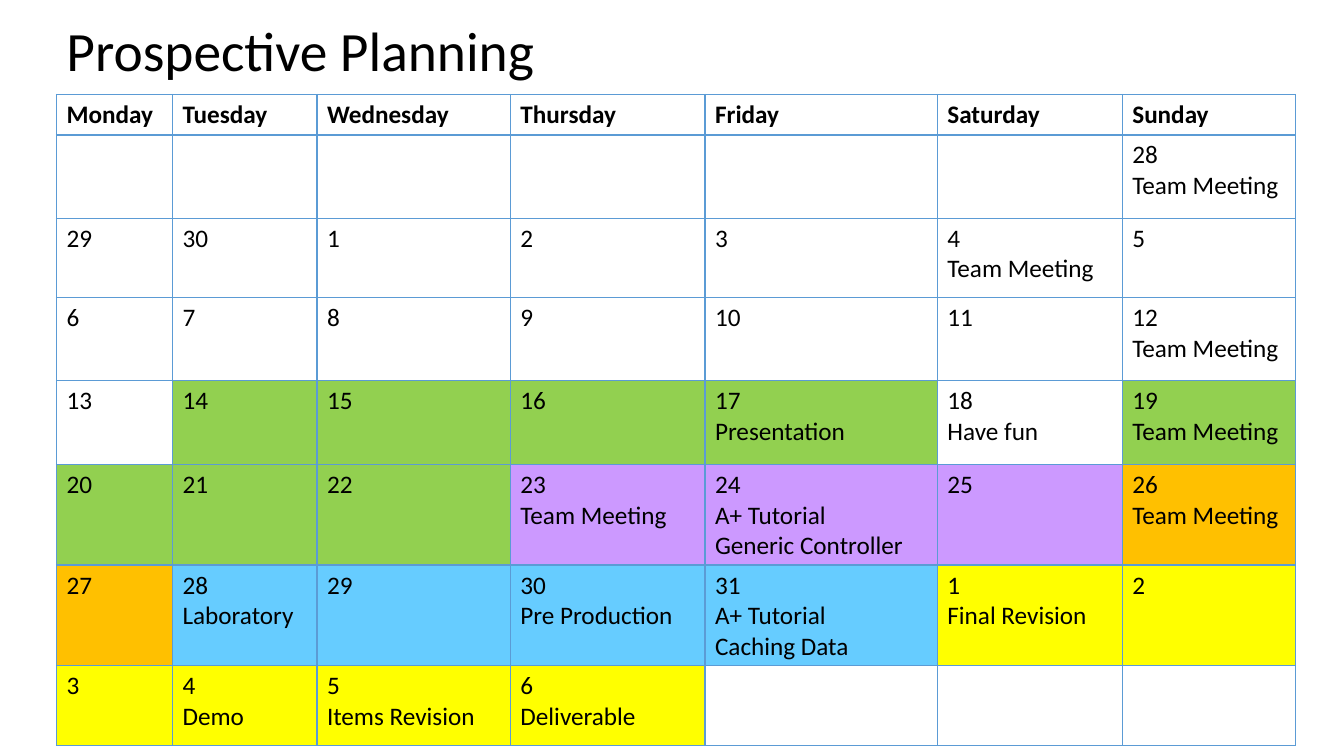
import pptx
import pptx.dml.color
import pptx.enum.text
import pptx.oxml
import pptx.oxml.ns
import pptx.util

Pt = pptx.util.Pt
RGBColor = pptx.dml.color.RGBColor

BLACK = RGBColor(0x00, 0x00, 0x00)
WHITE = RGBColor(0xFF, 0xFF, 0xFF)
GREEN = RGBColor(0x92, 0xD0, 0x50)
PURPLE = RGBColor(0xCC, 0x99, 0xFF)
ORANGE = RGBColor(0xFF, 0xC0, 0x00)
BLUE = RGBColor(0x66, 0xCC, 0xFF)
YELLOW = RGBColor(0xFF, 0xFF, 0x00)
GRID = RGBColor(0x5B, 0x9B, 0xD5)

LEFT, WIDTH = 40.4, 885
WEEKDAYS = ["Monday", "Tuesday", "Wednesday", "Thursday", "Friday", "Saturday", "Sunday"]
COLUMN_WIDTHS = [82.8, 103.2, 138.2, 139, 166, 132.1, 123.7]
ROW_HEIGHTS = [27.4, 59.6, 56.6, 59.6, 59.6, 69.1, 69.1, 56.9]

# Days as (month, day), with the first one on a Sunday
DAYS = [(0, d) for d in range(28, 31)] + [(1, d) for d in range(1, 32)] + [(2, d) for d in range(1, 7)]
FIRST_WEEKDAY = 6

EVENTS = {
    (1, 17): "Presentation",
    (1, 18): "Have fun",
    (1, 24): "A+ Tutorial\nGeneric Controller",
    (1, 28): "Laboratory",
    (1, 30): "Pre Production",
    (1, 31): "A+ Tutorial\nCaching Data",
    (2, 1): "Final Revision",
    (2, 4): "Demo",
    (2, 5): "Items Revision",
    (2, 6): "Deliverable",
}
for meeting in [(0, 28), (1, 4), (1, 12), (1, 19), (1, 23), (1, 26)]:
    EVENTS[meeting] = "Team Meeting"

# Project phases: first day, last day, colour
PHASES = [
    ((1, 14), (1, 17), GREEN),
    ((1, 19), (1, 22), GREEN),
    ((1, 23), (1, 25), PURPLE),
    ((1, 26), (1, 27), ORANGE),
    ((1, 28), (1, 31), BLUE),
    ((2, 1), (2, 6), YELLOW),
]


def style_text(paragraph, size, bold=False):
    for key, value in {"name": "Calibri", "size": Pt(size), "bold": bold}.items():
        setattr(paragraph.font, key, value)
    paragraph.font.color.rgb = BLACK


def add_border(cell, side, width):
    cell._tc.get_or_add_tcPr().append(pptx.oxml.parse_xml(
        f'<a:ln{side} {pptx.oxml.ns.nsdecls("a")} w="{Pt(width)}"><a:solidFill>'
        f'<a:srgbClr val="{GRID}"/></a:solidFill></a:ln{side}>'))


prs = pptx.Presentation()
prs.slide_width, prs.slide_height = Pt(960), Pt(540)
slide = prs.slides.add_slide(prs.slide_layouts[6])

# Title
title = slide.shapes.add_textbox(Pt(LEFT), Pt(15.1), Pt(WIDTH), Pt(46.8)).text_frame
title.word_wrap = True
title.vertical_anchor = pptx.enum.text.MSO_ANCHOR.MIDDLE
title.text = "Prospective Planning"
title.paragraphs[0].line_spacing = 0.9
style_text(title.paragraphs[0], 39.6)

# Calendar grid
calendar = slide.shapes.add_table(
    len(ROW_HEIGHTS), len(WEEKDAYS), Pt(LEFT), Pt(67.4), Pt(WIDTH), Pt(sum(ROW_HEIGHTS))).table
calendar.first_row = calendar.horz_banding = False
for column, width in zip(calendar.columns, COLUMN_WIDTHS):
    column.width = Pt(width)
for row, height in zip(calendar.rows, ROW_HEIGHTS):
    row.height = Pt(height)

# Weekday headings and days
for week, row in enumerate(calendar.rows):
    for weekday, cell in enumerate(row.cells):
        heading = week == 0
        colour = WHITE
        position = (week - 1) * 7 + weekday - FIRST_WEEKDAY
        if heading:
            cell.text = WEEKDAYS[weekday]
        elif 0 <= position < len(DAYS):
            date = DAYS[position]
            cell.text = str(date[1])
            if date in EVENTS:
                cell.text += "\n" + EVENTS[date]
            for first, last, phase_colour in PHASES:
                if first <= date <= last:
                    colour = phase_colour
        for paragraph in cell.text_frame.paragraphs:
            style_text(paragraph, 18, heading)
        for side, width in {"L": 1, "R": 1, "T": 2 if week == 1 else 1, "B": 2 if heading else 1}.items():
            add_border(cell, side, width)
        if heading:
            cell.fill.background()
        else:
            cell.fill.solid()
            cell.fill.fore_color.rgb = colour

prs.save("out.pptx")
